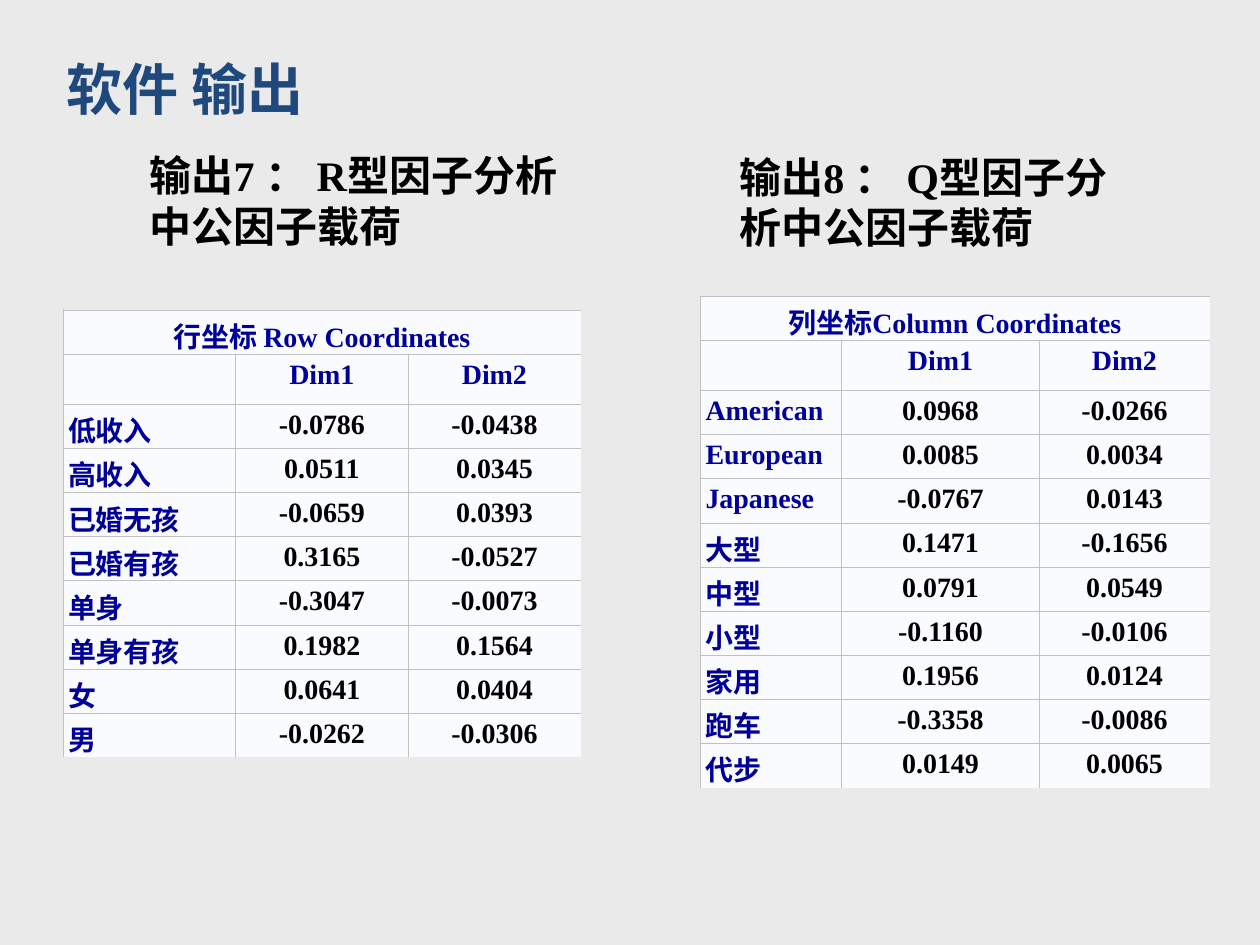
import pptx
import pptx.util
import pptx.dml.color
import pptx.enum.text
import pptx.oxml
import pptx.oxml.ns

Inches, Pt = pptx.util.Inches, pptx.util.Pt
RGB = pptx.dml.color.RGBColor.from_string

# Content
COLORS = {"back": "EAEAEA", "title": "1F497D", "text": "000000",
          "label": "000099", "cell": "FAFBFE", "line": "C1C1C1"}
SERIF, SANS = "Times New Roman", "Arial"

# left, top, width, height, size, colour, runs with their fonts
TEXTS = [
    (0.43, 0.38, 5.96, 0.64, 32, "title", [("软件 ", SERIF), ("输出", SANS)]),
    (1.09, 1.14, 3.63, 0.91, 24, "text",
     [("输出7 ： R型因子分析中公因子载荷", SERIF)]),
    (5.77, 1.15, 3.39, 0.91, 24, "text",
     [("输出8 ： Q型因子分析中公因子载荷", SERIF)]),
]

HEAD = ("", "Dim1", "Dim2")
TABLES = [
    {"at": (5.56, 2.35), "cols": (1.12, 1.57, 1.35),
     "title": "列坐标Column Coordinates",
     "rows": [
         ("American", "0.0968", "-0.0266"),
         ("European", "0.0085", "0.0034"),
         ("Japanese", "-0.0767", "0.0143"),
         ("大型", "0.1471", "-0.1656"),
         ("中型", "0.0791", "0.0549"),
         ("小型", "-0.1160", "-0.0106"),
         ("家用", "0.1956", "0.0124"),
         ("跑车", "-0.3358", "-0.0086"),
         ("代步", "0.0149", "0.0065"),
     ]},
    {"at": (0.5, 2.46), "cols": (1.37, 1.37, 1.37),
     "title": "行坐标 Row Coordinates",
     "rows": [
         ("低收入", "-0.0786", "-0.0438"),
         ("高收入", "0.0511", "0.0345"),
         ("已婚无孩", "-0.0659", "0.0393"),
         ("已婚有孩", "0.3165", "-0.0527"),
         ("单身", "-0.3047", "-0.0073"),
         ("单身有孩", "0.1982", "0.1564"),
         ("女", "0.0641", "0.0404"),
         ("男", "-0.0262", "-0.0306"),
     ]},
]
ROW, HEADROW, INSET = 0.35, 0.39, 0.04


def style(run, size, color, font=SERIF):
    run.font.size = Pt(size)
    run.font.bold = True
    run.font.name = font
    run.font.color.rgb = RGB(COLORS[color])


def add_text(slide, left, top, width, height, size, color, runs):
    box = slide.shapes.add_textbox(*map(Inches, (left, top, width, height)))
    frame = box.text_frame
    frame.word_wrap = True
    frame.auto_size = pptx.enum.text.MSO_AUTO_SIZE.SHAPE_TO_FIT_TEXT
    for text, font in runs:
        run = frame.paragraphs[0].add_run()
        run.text = text
        style(run, size, color, font)


def set_edges(cell, right, bottom):
    """Rule the left and top sides, and the right and bottom if asked."""
    props = cell._tc.get_or_add_tcPr()
    sides = (("L", True), ("R", right), ("T", True), ("B", bottom))
    for spot, (side, drawn) in enumerate(sides):
        paint = (f'<a:solidFill><a:srgbClr val="{COLORS["line"]}"/></a:solidFill>'
                 if drawn else "<a:noFill/>")
        props.insert(spot, pptx.oxml.parse_xml(
            f'<a:ln{side} {pptx.oxml.ns.nsdecls("a")} w="{Pt(0.6)}">'
            f'{paint}</a:ln{side}>'))


def fill_cell(cell, text, centred, color):
    cell.fill.solid()
    cell.fill.fore_color.rgb = RGB(COLORS["cell"])
    if not text:
        return
    cell.margin_left = cell.margin_right = Inches(INSET)
    cell.margin_top = cell.margin_bottom = Inches(INSET)
    cell.text_frame.text = text
    para = cell.text_frame.paragraphs[0]
    align = pptx.enum.text.PP_ALIGN
    para.alignment = align.CENTER if centred else align.LEFT
    style(para.runs[0], 16, color)


def add_grid(slide, data):
    cols = data["cols"]
    rows = [(data["title"], "", ""), HEAD, *data["rows"]]
    highs = [ROW, HEADROW] + [ROW] * len(data["rows"])
    size = (*data["at"], sum(cols), sum(highs))
    table = slide.shapes.add_table(
        len(rows), len(cols), *map(Inches, size)).table
    for col, width in zip(table.columns, cols):
        col.width = Inches(width)
    for row, high in zip(table.rows, highs):
        row.height = Inches(high)
    table.cell(0, 0).merge(table.cell(0, len(cols) - 1))

    for r, row in enumerate(rows):
        for c, text in enumerate(row):
            cell = table.cell(r, c)
            label = r < 2 or c == 0
            fill_cell(cell, text, r < 2 or c > 0, "label" if label else "text")
            set_edges(cell, r > 0 and c < len(cols) - 1, r < len(rows) - 1)


def main():
    deck = pptx.Presentation()
    deck.slide_width, deck.slide_height = Inches(10), Inches(7.5)
    slide = deck.slides.add_slide(deck.slide_layouts[6])
    slide.background.fill.solid()
    slide.background.fill.fore_color.rgb = RGB(COLORS["back"])
    for item in TEXTS:
        add_text(slide, *item)
    for data in TABLES:
        add_grid(slide, data)
    deck.save("out.pptx")


if __name__ == "__main__":
    main()
